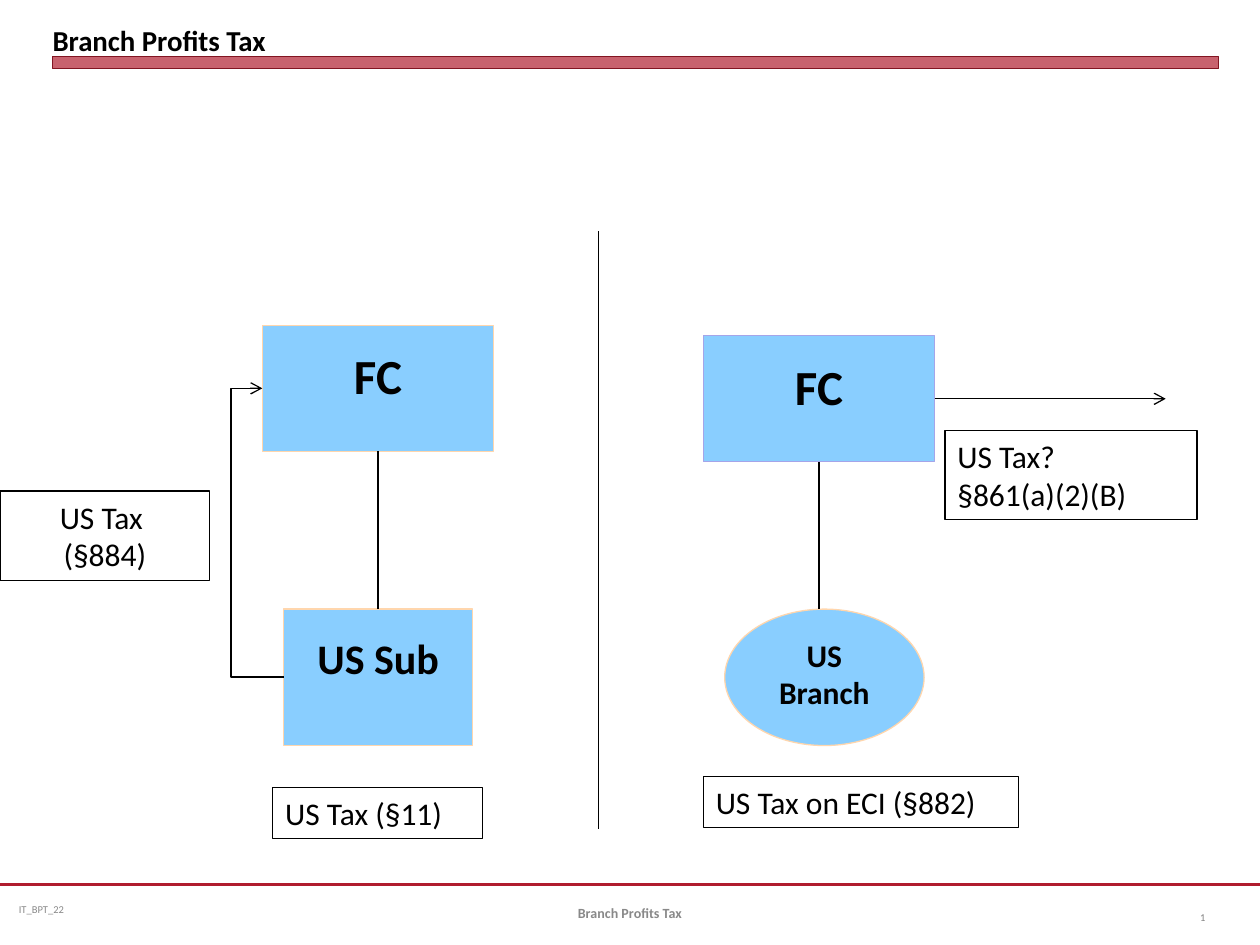
from dataclasses import dataclass

from lxml import etree
from pptx import Presentation
from pptx.dml.color import RGBColor
from pptx.enum.shapes import MSO_CONNECTOR, MSO_SHAPE
from pptx.enum.text import MSO_ANCHOR, PP_ALIGN
from pptx.oxml.ns import qn
from pptx.util import Cm, Pt

LEFT, CENTER, RIGHT = PP_ALIGN.LEFT, PP_ALIGN.CENTER, PP_ALIGN.RIGHT
TOP, MIDDLE, BOTTOM = MSO_ANCHOR.TOP, MSO_ANCHOR.MIDDLE, MSO_ANCHOR.BOTTOM
RECTANGLE, OVAL = MSO_SHAPE.RECTANGLE, MSO_SHAPE.OVAL
STRAIGHT, ELBOW = MSO_CONNECTOR.STRAIGHT, MSO_CONNECTOR.ELBOW
TITLE_ONLY = 5
INSETS = (0.25, 0.13, 0.25, 0.13)


@dataclass(frozen=True)
class Theme:
    """Colours, font and type sizes of the slide."""
    font: str = "Calibri"
    ink: str = "000000"
    red: str = "B01C2E"
    dark_red: str = "821522"
    blue: str = "89CEFF"
    peach: str = "FFD6AD"
    lilac: str = "A5A5E9"
    grey: str = "898989"
    number_grey: str = "808080"
    title: float = 16.5
    parent: float = 28
    subsidiary: float = 24
    label: float = 18
    footer: float = 8
    small: float = 6


THEME = Theme()


def write_text(frame, text, size=THEME.label, color=THEME.ink, bold=False,
               align=LEFT, anchor=TOP, insets=INSETS):
    """Fill a text frame with one paragraph per line of text."""
    frame.word_wrap = True
    frame.vertical_anchor = anchor
    (frame.margin_left, frame.margin_top,
     frame.margin_right, frame.margin_bottom) = [Cm(inset) for inset in insets]
    for index, line in enumerate(text.split("\n")):
        para = frame.paragraphs[0] if index == 0 else frame.add_paragraph()
        para.alignment = align
        span = para.add_run()
        span.text = line
        span.font.name = THEME.font
        span.font.size = Pt(size)
        span.font.bold = bold
        span.font.color.rgb = RGBColor.from_string(color)


def add_box(page, area, kind=RECTANGLE, fill=None, line=THEME.ink, width=0.75):
    """Add an outlined shape, filled when a colour is given."""
    box = page.shapes.add_shape(kind, *[Cm(length) for length in area])
    box.shadow.inherit = False
    if fill:
        box.fill.solid()
        box.fill.fore_color.rgb = RGBColor.from_string(fill)
    else:
        box.fill.background()
    box.line.color.rgb = RGBColor.from_string(line)
    box.line.width = Pt(width)
    return box


def add_entity(page, area, text, size, kind=RECTANGLE, line=THEME.peach, top=0.13):
    """Add a blue shape that names a company or branch."""
    box = add_box(page, area, kind, THEME.blue, line)
    write_text(box.text_frame, text, size=size, bold=True, align=CENTER,
               insets=(0.25, top, 0.25, 0.13))


def add_label(page, area, text, align=LEFT):
    """Add an outlined tax label."""
    write_text(add_box(page, area).text_frame, text, align=align)


def add_caption(page, area, text, **style):
    """Add a footer text box."""
    box = page.shapes.add_textbox(*[Cm(length) for length in area])
    write_text(box.text_frame, text, anchor=MIDDLE, **style)


def add_line(page, start, end, kind=STRAIGHT, color=THEME.ink, width=0.75, arrow=False):
    """Add a connector, with an open arrowhead on request."""
    link = page.shapes.add_connector(kind, *[Cm(length) for length in (*start, *end)])
    link.line.color.rgb = RGBColor.from_string(color)
    link.line.width = Pt(width)
    if arrow:
        etree.SubElement(link.line._get_or_add_ln(), qn("a:tailEnd"), type="arrow")
    etree.SubElement(link._element.spPr, qn("a:effectLst"))
    return link


def add_return_arrow(page, start, end, turn):
    """Add an elbow arrow whose vertical leg stands at the turn position."""
    link = add_line(page, start, end, kind=ELBOW, arrow=True)
    share = (start[0] - turn) / (start[0] - end[0])
    guides = link._element.spPr.find(qn("a:prstGeom")).find(qn("a:avLst"))
    etree.SubElement(guides, qn("a:gd"), name="adj1", fmla=f"val {round(share * 100000)}")


def add_title(page, area, text):
    """Place the title and the translucent bar under it."""
    bar = add_box(page, (1.06, 1.14, 23.5, 0.25), fill=THEME.red,
                  line=THEME.dark_red, width=0)
    tint = bar.fill._xPr.find(qn("a:solidFill"))[0]
    etree.SubElement(tint, qn("a:alpha"), val="69000")
    title = page.shapes.title
    title.left, title.top, title.width, title.height = [Cm(length) for length in area]
    write_text(title.text_frame, text, size=THEME.title, bold=True,
               anchor=BOTTOM, insets=(0, 0, 0, 0))


def add_footer(page):
    """Add the footer rule and its three captions."""
    add_line(page, (0, 17.83), (25.4, 17.83), color=THEME.red, width=1.25)
    add_caption(page, (0.2, 17.83, 6.55, 1.02), "IT_BPT_22", size=THEME.small,
                color=THEME.grey, insets=(0.18, 0.1, 0.18, 0.1))
    add_caption(page, (8.68, 17.9, 8.04, 1.02), "Branch Profits Tax", size=THEME.footer,
                color=THEME.grey, bold=True, align=CENTER)
    add_caption(page, (23.28, 17.99, 1.27, 1.02), "1", size=THEME.small,
                color=THEME.number_grey, align=RIGHT)


def add_subsidiary_side(page):
    """Draw the foreign company that owns a US subsidiary."""
    add_entity(page, (5.29, 6.56, 4.66, 2.54), "FC", THEME.parent, top=0.41)
    add_entity(page, (5.72, 12.28, 3.81, 2.75), "US Sub", THEME.subsidiary, top=0.48)
    add_line(page, (7.62, 9.1), (7.62, 12.28))
    add_return_arrow(page, (5.72, 13.65), (5.29, 7.83), turn=4.66)
    add_label(page, (5.5, 15.88, 4.23, 1.03), "US Tax (§11)")
    add_label(page, (0, 9.9, 4.23, 1.8), "US Tax \n(§884)", align=CENTER)


def add_branch_side(page):
    """Draw the foreign company that runs a US branch."""
    add_entity(page, (14.18, 6.77, 4.66, 2.54), "FC", THEME.parent,
               line=THEME.lilac, top=0.41)
    add_entity(page, (14.61, 12.28, 4.02, 2.75), "US\nBranch", THEME.label, kind=OVAL)
    add_line(page, (16.51, 9.31), (16.51, 12.28))
    add_line(page, (18.84, 8.04), (23.5, 8.04), arrow=True)
    add_label(page, (14.18, 15.66, 6.35, 1.03), "US Tax on ECI (§882)")
    add_label(page, (19.05, 8.68, 5.08, 1.8), "US Tax?\n§861(a)(2)(B)")


def main():
    """Build the slide and save it."""
    deck = Presentation()
    deck.slide_width, deck.slide_height = Cm(25.4), Cm(19.05)
    page = deck.slides.add_slide(deck.slide_layouts[TITLE_ONLY])
    add_title(page, (1.06, 0.13, 23.5, 1.02), "Branch Profits Tax")
    add_subsidiary_side(page)
    add_line(page, (12.07, 4.66), (12.07, 16.72))
    add_branch_side(page)
    add_footer(page)
    deck.save("out.pptx")


if __name__ == "__main__":
    main()
